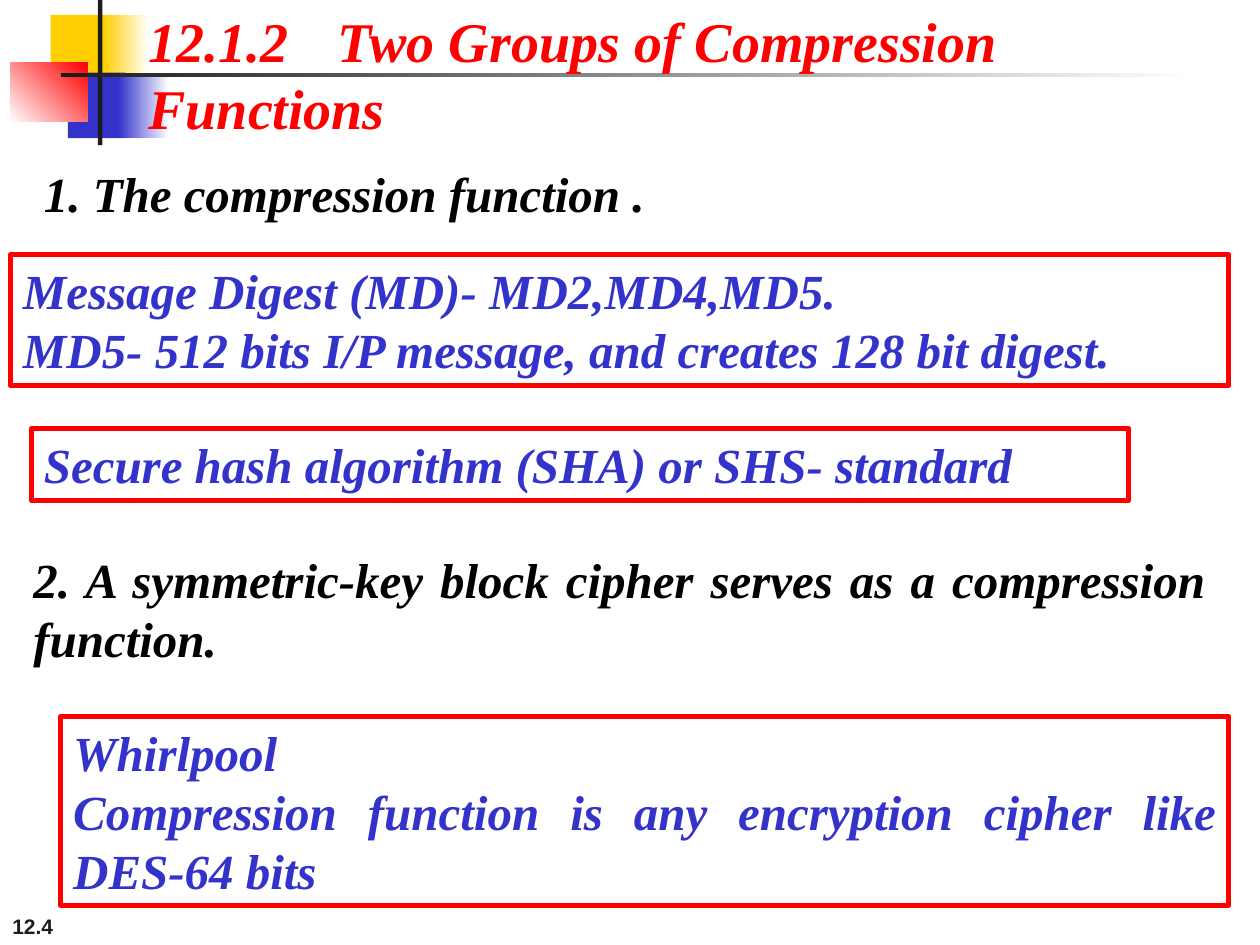
import pptx
import pptx.dml.color
import pptx.enum.shapes
import pptx.enum.text
import pptx.oxml
import pptx.oxml.ns
import pptx.util

Pt = pptx.util.Pt
ALIGN = pptx.enum.text.PP_ALIGN
ANCHOR = pptx.enum.text.MSO_ANCHOR
AUTO = pptx.enum.text.MSO_AUTO_SIZE
SERIF = "Times New Roman"
COLORS = {
    "white": "FFFFFF",
    "black": "000000",
    "dark": "1C1C1C",
    "yellow": "FFCF01",
    "blue": "3333CC",
    "red": "FF0000",
}


def rgb(name):
    """Return the named colour."""
    return pptx.dml.color.RGBColor.from_string(COLORS[name])


def add_rect(s, box, fill, border=None):
    """Add a flat rectangle with an optional border."""
    rect = pptx.enum.shapes.MSO_SHAPE.RECTANGLE
    sp = s.shapes.add_shape(rect, *map(Pt, box))
    sp.shadow.inherit = False
    sp.fill.solid()
    sp.fill.fore_color.rgb = rgb(fill)
    if border:
        sp.line.color.rgb = rgb(border)
        sp.line.width = Pt(3)
    else:
        sp.line.fill.background()
    return sp


def add_fade(s, box, start, end, angle=0):
    """Add a rectangle that fades from one colour to another."""
    sp = add_rect(s, box, start)
    sp.fill.gradient()
    sp.fill.gradient_angle = angle
    for stop, name in zip(sp.fill.gradient_stops, (start, end)):
        stop.color.rgb = rgb(name)


def write(sp, lines, color, size=28, font=SERIF, italic=True, align=ALIGN.LEFT):
    """Write bold paragraphs into a shape and return its text frame."""
    tf = sp.text_frame
    tf.word_wrap = True
    tf.vertical_anchor = ANCHOR.TOP
    tf.text = "\n".join(lines)
    for p in tf.paragraphs:
        p.alignment = align
        p.font.name = font
        p.font.size = Pt(size)
        p.font.bold = True
        p.font.italic = italic
        p.font.color.rgb = rgb(color)
    return tf


def add_panel(s, box, lines, color, border=None):
    """Add a white panel of justified text."""
    sp = add_rect(s, box, "white", border)
    tf = write(sp, lines, color, align=ALIGN.JUSTIFY)
    tf.auto_size = AUTO.SHAPE_TO_FIT_TEXT


def add_title(s, number, title):
    """Add the section number and title, set apart by a tab stop."""
    sp = s.shapes.add_textbox(Pt(77.76), 0, Pt(632), Pt(46))
    p = sp.text_frame.paragraphs[0]
    tabs = pptx.oxml.parse_xml(
        f'<a:tabLst {pptx.oxml.ns.nsdecls("a")}>'
        f'<a:tab pos="{Pt(96.5)}" algn="l"/></a:tabLst>'
    )
    p._p.get_or_add_pPr().append(tabs)
    tf = write(sp, [f"{number}\t{title}"], "red", size=32)
    tf.word_wrap = False
    tf.auto_size = AUTO.SHAPE_TO_FIT_TEXT


def add_page_number(s, number):
    """Add the page number at the bottom left."""
    sp = s.shapes.add_textbox(0, Pt(504), Pt(150), Pt(36))
    tf = write(sp, [number], "dark", size=12, font="Arial", italic=False)
    tf.vertical_anchor = ANCHOR.BOTTOM


def add_ornament(s):
    """Add the coloured squares and the crossing bars."""
    add_rect(s, (29, 8.5, 34.5, 37.5), "yellow")
    add_fade(s, (59, 8.5, 26, 37.5), "yellow", "white")
    add_rect(s, (38.75, 41.5, 33, 37.5), "blue")
    add_fade(s, (67.5, 41.5, 29, 37.5), "blue", "white")
    add_fade(s, (5.75, 36, 44.25, 33.5), "white", "red", 45)
    add_rect(s, (56, 0, 2.5, 83), "dark")
    add_fade(s, (34.75, 41.75, 648, 2.5), "dark", "white")


def main():
    """Build and save the slide."""
    prs = pptx.Presentation()
    prs.slide_width, prs.slide_height = Pt(720), Pt(540)
    s = prs.slides.add_slide(prs.slide_layouts[6])
    add_page_number(s, "12.4")
    add_ornament(s)
    add_panel(s, (18, 90, 684, 41), ["1. The compression function ."], "black")
    add_title(s, "12.1.2", "Two Groups of Compression Functions")
    add_panel(s, (12, 310.5, 684, 75), [
        "2. A symmetric-key block cipher serves as a compression function.",
    ], "black")
    add_panel(s, (6, 145.5, 696, 75), [
        "Message Digest (MD)- MD2,MD4,MD5.",
        "MD5- 512 bits I/P message, and creates 128 bit digest.",
    ], "blue", "red")
    add_panel(s, (34.75, 409.5, 667.25, 108), [
        "Whirlpool",
        "Compression function is any encryption cipher like DES-64 bits",
    ], "blue", "red")
    add_panel(s, (18, 245, 627, 41), [
        "Secure hash algorithm (SHA) or SHS- standard",
    ], "blue", "red")
    prs.save("out.pptx")


if __name__ == "__main__":
    main()
